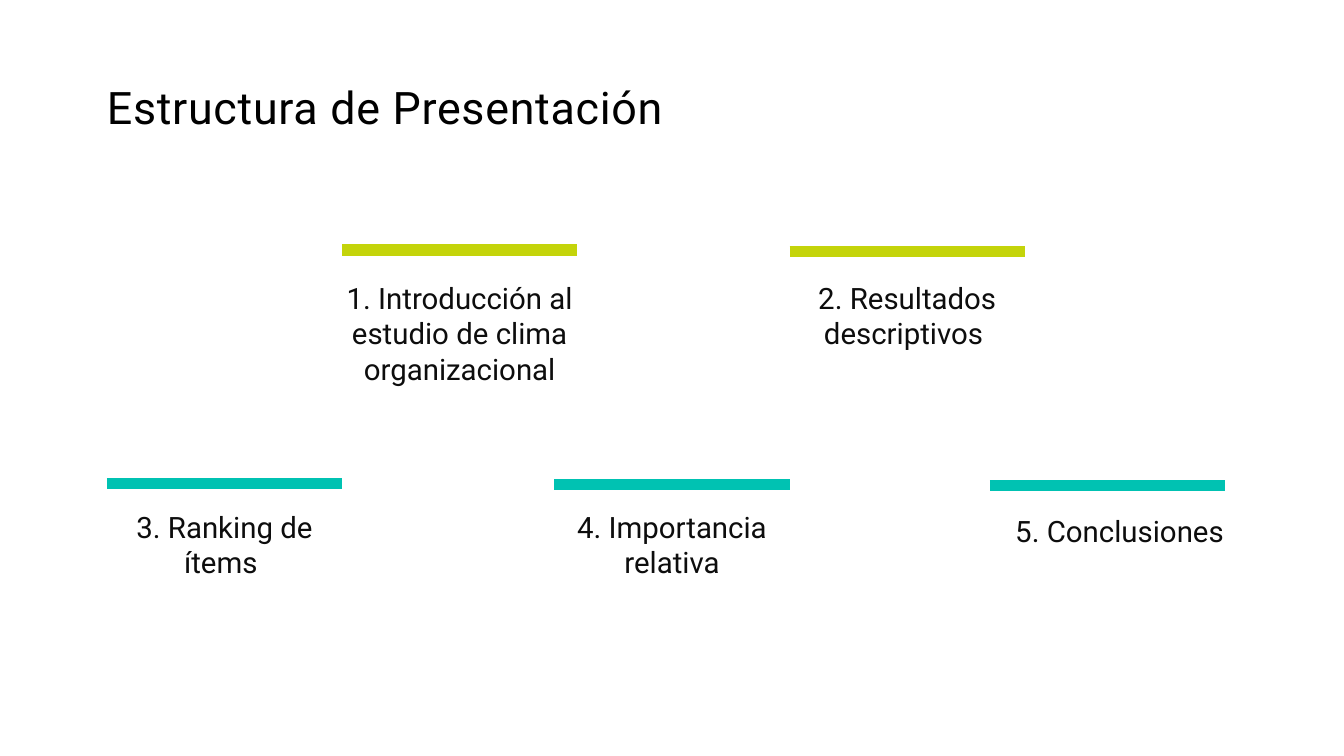
"""Build the agenda slide: a title and five sections under coloured bars."""
from dataclasses import dataclass

from lxml import etree
from pptx import Presentation
from pptx.dml.color import RGBColor
from pptx.enum.text import MSO_ANCHOR, PP_ALIGN
from pptx.enum.shapes import MSO_CONNECTOR
from pptx.oxml.ns import qn
from pptx.slide import Slide
from pptx.util import Inches, Length, Pt

CENTER, LEFT = PP_ALIGN.CENTER, PP_ALIGN.LEFT
TOP, BOTTOM = MSO_ANCHOR.TOP, MSO_ANCHOR.BOTTOM
STRAIGHT = MSO_CONNECTOR.STRAIGHT

BLACK = RGBColor(0x00, 0x00, 0x00)
INK = RGBColor(0x0D, 0x0D, 0x0D)
LIME = RGBColor(0xC4, 0xD4, 0x0A)
TEAL = RGBColor(0x00, 0xC2, 0xB2)

WIDTH, HEIGHT = Inches(13.33), Inches(7.5)
MARGIN = 7.95
SECTION_WIDTH = 17.5
PITCH = 33.3

TITLE_FONT = {"name": "Roboto", "size": Pt(32)}
SECTION_FONT = {"name": "Roboto", "size": Pt(21)}


@dataclass(frozen=True)
class Section:
    """A section's text and bar, placed in percent of the slide."""

    text: str
    left: float
    top: float
    height: float
    bar_top: float
    color: RGBColor
    bar_shift: float = 0


UPPER = MARGIN + SECTION_WIDTH
SECTIONS = [
    Section("1. Introducción al estudio de clima organizacional",
            UPPER, 37.07, 17.8, 33.07, LIME),
    Section("2. Resultados descriptivos ", UPPER + PITCH, 37.07, 8.9, 33.27, LIME),
    Section("3. Ranking de ítems ", MARGIN, 67.33, 8.9, 64, TEAL),
    Section("4. Importancia relativa", MARGIN + PITCH, 67.33, 14.1, 64.13, TEAL),
    Section("5. Conclusiones", MARGIN + 2 * PITCH, 67.87, 8.9, 64.27, TEAL, -0.9),
]


def across(percent: float) -> Length:
    """Return a share of the slide's width."""
    return Length(round(WIDTH * percent / 100))


def down(percent: float) -> Length:
    """Return a share of the slide's height."""
    return Length(round(HEIGHT * percent / 100))


def add_text(page: Slide, text: str, left: float, top: float, width: float,
             height: float, font: dict, color: RGBColor,
             align: PP_ALIGN = CENTER, anchor: MSO_ANCHOR = TOP,
             line_spacing: float = 1.0, tracking: int = 0) -> None:
    """Add a wrapped text box without insets."""
    box = page.shapes.add_textbox(across(left), down(top), across(width), down(height))
    frame_format = {"word_wrap": True, "vertical_anchor": anchor, "margin_left": 0,
                    "margin_top": 0, "margin_right": 0, "margin_bottom": 0}
    for name, value in frame_format.items():
        setattr(box.text_frame, name, value)
    para = box.text_frame.paragraphs[0]
    para.alignment = align
    para.line_spacing = line_spacing
    span = para.add_run()
    span.text = text
    for name, value in font.items():
        setattr(span.font, name, value)
    span.font.color.rgb = color
    if tracking:
        span.font._element.set("spc", str(tracking))


def add_section(page: Slide, section: Section) -> None:
    """Add a section's text and the bar above it."""
    add_text(page, section.text, section.left, section.top, SECTION_WIDTH,
             section.height, SECTION_FONT, INK)
    start = section.left + section.bar_shift
    bar_top = down(section.bar_top)
    bar = page.shapes.add_connector(STRAIGHT, across(start), bar_top,
                                    across(start + SECTION_WIDTH), bar_top)
    bar.line.color.rgb = section.color
    bar.line.width = Pt(8)
    etree.SubElement(bar._element.spPr, qn("a:effectLst"))


def main() -> None:
    """Create and save the deck."""
    deck = Presentation()
    deck.slide_width, deck.slide_height = WIDTH, HEIGHT
    page = deck.slides.add_slide(deck.slide_layouts[6])
    add_text(page, "Estructura de Presentación", MARGIN, 8.8, 68.1, 8.9, TITLE_FONT,
             BLACK, LEFT, BOTTOM, line_spacing=0.9, tracking=50)
    for section in SECTIONS:
        add_section(page, section)
    deck.save("out.pptx")


if __name__ == "__main__":
    main()
